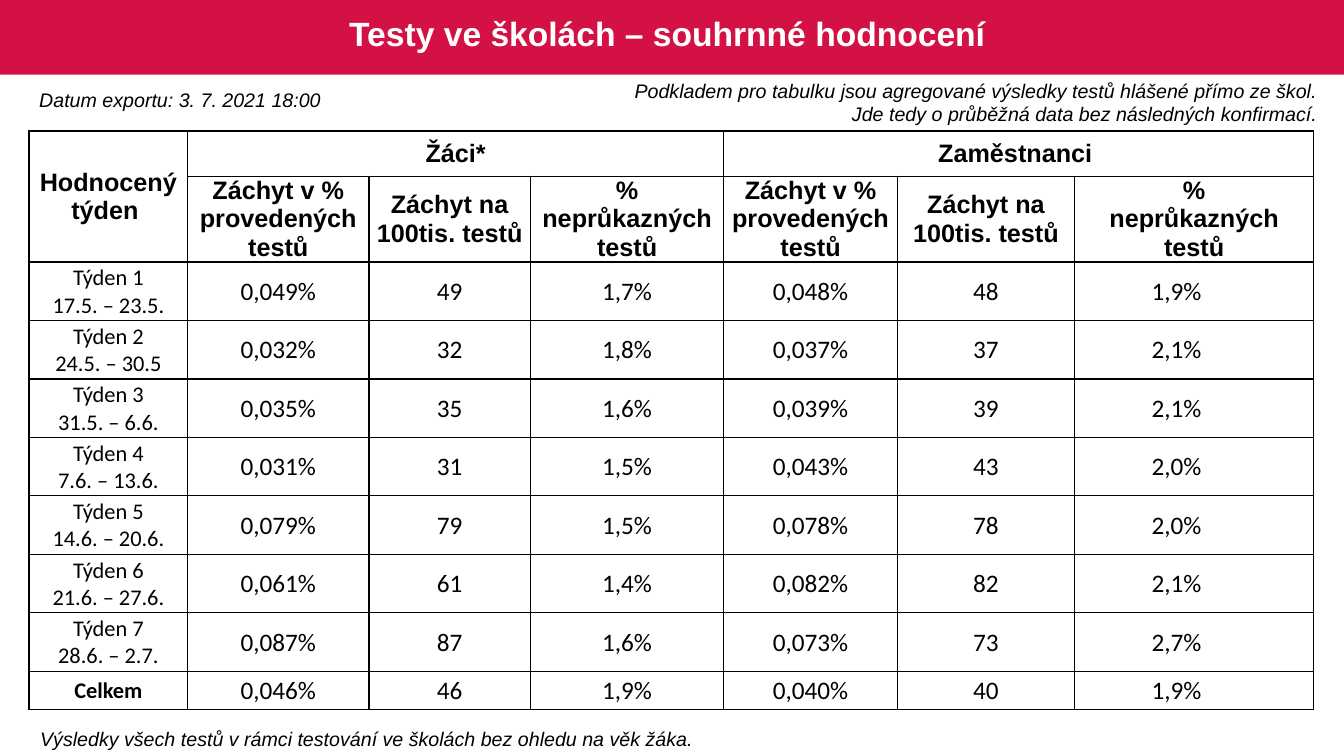
"""Builds the slide with weekly school test results for pupils and employees."""
from lxml.etree import SubElement
from pptx import Presentation
from pptx.dml.color import RGBColor
from pptx.enum.shapes import MSO_SHAPE as Shape
from pptx.enum.text import MSO_ANCHOR as Anchor, MSO_AUTO_SIZE as AutoSize, PP_ALIGN as Align
from pptx.oxml.ns import qn
from pptx.util import Inches, Pt

COLORS = {"band": "D31145", "title": "FFFFFF", "ink": "000000"}
TITLE = "Testy ve školách – souhrnné hodnocení "
NOTES = [
    ("Datum exportu: 3. 7. 2021 18:00", (0.29, 0.82, 3.01, 0.34), Align.LEFT, False),
    ("Výsledky všech testů v rámci testování ve školách bez ohledu na věk žáka.",
     (0.3, 7.16, 12.67, 0.34), Align.LEFT, True),
    ("Podkladem pro tabulku jsou agregované výsledky testů hlášené přímo ze škol. \n"
     "Jde tedy o průběžná data bez následných konfirmací. ",
     (5.7, 0.73, 7.52, 0.57), Align.RIGHT, True),
]
HEADERS = [
    ["Hodnocený týden ", "Žáci*", "", "", "Zaměstnanci ", "", "", ""],
    ["", "Záchyt v % provedených testů", "Záchyt na 100tis. testů", "% neprůkazných testů",
     "Záchyt v % provedených testů", "Záchyt na 100tis. testů", "%\nneprůkazných testů", ""],
]
WEEKS = [
    ["Týden 1\n17.5. – 23.5.", "0,049%", "49", "1,7%", "0,048%", "48", "1,9%", ""],
    ["Týden 2\n24.5. – 30.5", "0,032%", "32", "1,8%", "0,037%", "37", "2,1%", ""],
    ["Týden 3\n31.5. – 6.6.", "0,035%", "35", "1,6%", "0,039%", "39", "2,1%", ""],
    ["Týden 4\n7.6. – 13.6.", "0,031%", "31", "1,5%", "0,043%", "43", "2,0%", ""],
    ["Týden 5\n14.6. – 20.6.", "0,079%", "79", "1,5%", "0,078%", "78", "2,0%", ""],
    ["Týden 6\n21.6. – 27.6.", "0,061%", "61", "1,4%", "0,082%", "82", "2,1%", ""],
    ["Týden 7\n28.6. – 2.7.", "0,087%", "87", "1,6%", "0,073%", "73", "2,7%", ""],
]
TOTAL = ["Celkem", "0,046%", "46", "1,9%", "0,040%", "40", "1,9%", ""]
MERGES = [((0, 0), (1, 0)), ((0, 1), (0, 3)), ((0, 4), (0, 7)), ((1, 6), (1, 7))]
TABLE_BOX = (0.29, 1.3, 12.75, 5.77)
COLUMN_WIDTHS = [1.57, 1.8, 1.6, 1.92, 1.72, 1.76, 2.02, 0.35]
ROW_HEIGHTS = [0.45, 0.85] + [0.58] * len(WEEKS) + [0.38]
HEADER_MARGINS = {"margin_left": 0.05, "margin_top": 0, "margin_right": 0.05, "margin_bottom": 0}
BODY_MARGINS = {"margin_left": 0.01, "margin_top": 0.01, "margin_right": 0.01, "margin_bottom": 0}


def apply(target, values):
    for name, value in values.items():
        setattr(target, name, value)


def style_text(frame, align, color, size, **font_values):
    for paragraph in frame.paragraphs:
        paragraph.alignment = align
        apply(paragraph.font, {"size": Pt(size), **font_values})
        paragraph.font.color.rgb = RGBColor.from_string(COLORS[color])


def draw_borders(cell, row, column):
    """Draw the four edges, leaving the value and its spacer column undivided."""
    widths = {
        "a:lnL": 1.5 if column == 0 else 0 if row > 1 and column == 7 else 1,
        "a:lnR": 0 if row > 1 and column == 6 else 1,
        "a:lnT": 1.5 if row == 0 else 1,
        "a:lnB": 1,
    }
    properties = cell._tc.get_or_add_tcPr()
    for edge, width in widths.items():
        line = SubElement(properties, qn(edge), w=str(Pt(width)))
        if width:
            fill = SubElement(line, qn("a:solidFill"))
            SubElement(fill, qn("a:srgbClr"), val=COLORS["ink"])
        else:
            SubElement(line, qn("a:noFill"))


def add_title(slide):
    band = slide.shapes.add_shape(Shape.RECTANGLE, 0, 0, Inches(13.33), Inches(0.74))
    band.shadow.inherit = False
    band.fill.solid()
    band.fill.fore_color.rgb = RGBColor.from_string(COLORS["band"])
    band.line.fill.background()
    slide.shapes._spTree.insert(2, band._element)

    title = slide.shapes.title
    apply(title, {"left": Inches(0.18), "top": Inches(0.04),
                  "width": Inches(12.97), "height": Inches(0.63)})
    frame = title.text_frame
    apply(frame, {"text": TITLE, "vertical_anchor": Anchor.MIDDLE, "auto_size": AutoSize.NONE})
    style_text(frame, Align.CENTER, "title", 24, name="Arial", bold=True)
    frame.paragraphs[0].line_spacing = 0.9


def add_results(slide):
    rows = HEADERS + WEEKS + [TOTAL]
    results = slide.shapes.add_table(
        len(rows), len(COLUMN_WIDTHS), *map(Inches, TABLE_BOX)).table
    apply(results, {"first_row": False, "horz_banding": False})
    for column, width in zip(results.columns, COLUMN_WIDTHS):
        column.width = Inches(width)
    for row, height in zip(results.rows, ROW_HEIGHTS):
        row.height = Inches(height)
    for start, end in MERGES:
        results.cell(*start).merge(results.cell(*end))

    for r, labels in enumerate(rows):
        header = r < len(HEADERS)
        margins = HEADER_MARGINS if header else BODY_MARGINS
        for c, label in enumerate(labels):
            cell = results.cell(r, c)
            apply(cell, {"text": label, "vertical_anchor": Anchor.MIDDLE})
            apply(cell, {side: Inches(inset) for side, inset in margins.items()})
            style_text(cell.text_frame, Align.CENTER, "ink",
                       16 if c == 0 and not header else 18,
                       name="Arial" if header else "Calibri",
                       bold=header or label == TOTAL[0])
            draw_borders(cell, r, c)
            cell.fill.background()


def add_notes(slide):
    for note, box, align, wrap in NOTES:
        frame = slide.shapes.add_textbox(*map(Inches, box)).text_frame
        apply(frame, {"text": note, "word_wrap": wrap, "auto_size": AutoSize.SHAPE_TO_FIT_TEXT})
        style_text(frame, align, "ink", 14, name="Arial", italic=True)


def main():
    deck = Presentation()
    apply(deck, {"slide_width": Inches(13.33), "slide_height": Inches(7.5)})
    slide = deck.slides.add_slide(deck.slide_layouts[5])
    add_title(slide)
    add_results(slide)
    add_notes(slide)
    deck.save("out.pptx")


if __name__ == "__main__":
    main()
